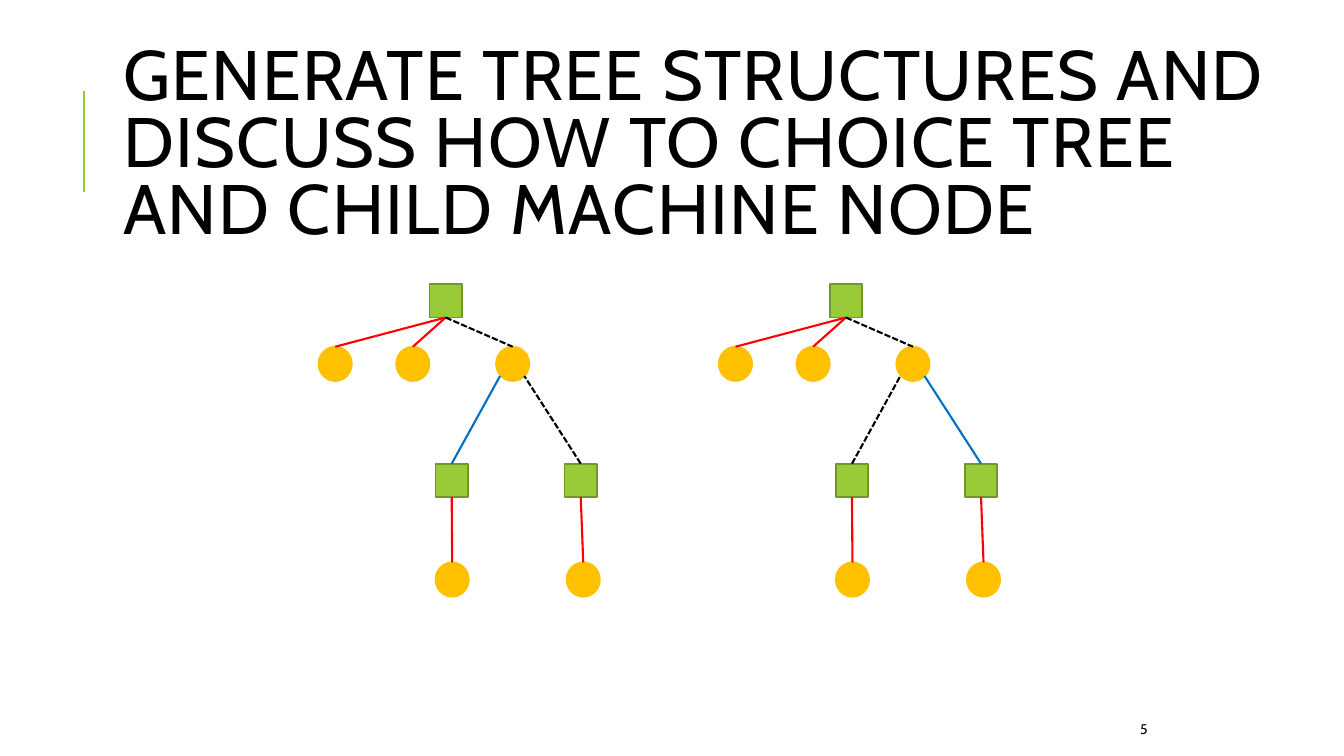
from pptx import Presentation
from pptx.dml.color import RGBColor
from pptx.enum.dml import MSO_LINE
from pptx.enum.shapes import MSO_CONNECTOR, MSO_SHAPE
from pptx.enum.text import MSO_ANCHOR, MSO_AUTO_SIZE, PP_ALIGN
from pptx.oxml.ns import qn
from pptx.util import Pt
from lxml.etree import SubElement

PX = 9144  # 100 px to the inch
FONT = "Cabin"
COLORS = {"green": "99CB38", "edge": "719629", "amber": "FFC000",
          "red": "FF0000", "blue": "0070C0", "black": "000000"}
TOP, BOTTOM = 0, 2
TREE_STEP = 397


def px(*lengths):
    return [n * PX for n in lengths]


def rgb(name):
    return RGBColor.from_string(COLORS[name])


def add_text(shape, text, size):
    tf = shape.text_frame
    tf.word_wrap = True
    tf.auto_size = MSO_AUTO_SIZE.NONE
    tf.vertical_anchor = MSO_ANCHOR.MIDDLE
    p = tf.paragraphs[0]
    p.alignment = PP_ALIGN.LEFT
    r = p.add_run()
    r.text = text
    r.font.name = FONT
    r.font.size = Pt(size)
    r.font.color.rgb = rgb("black")
    return p, r


def add_title(s, text):
    title = s.shapes.title
    title.left, title.top, title.width, title.height = px(112, 64, 1180, 164)
    p, r = add_text(title, text, 50)
    p.line_spacing = 0.8
    r.font._element.set("spc", "100")


def add_page_number(s, number):
    add_text(s.shapes.add_textbox(*px(1121, 708, 106, 30)), number, 10)


def add_node(s, kind, x, y, w, h, fill, edge):
    node = s.shapes.add_shape(kind, *px(x, y, w, h))
    node.shadow.inherit = False
    node.fill.solid()
    node.fill.fore_color.rgb = rgb(fill)
    node.line.color.rgb = rgb(edge)
    node.line.width = Pt(1.25)
    return node


def add_square(s, x, y):
    return add_node(s, MSO_SHAPE.RECTANGLE, x, y, 32, 33, "green", "edge")


def add_circle(s, x, y):
    return add_node(s, MSO_SHAPE.OVAL, x, y, 33, 34, "amber", "amber")


def add_line(s, color, x1=0, y1=0, x2=0, y2=0):
    line = s.shapes.add_connector(MSO_CONNECTOR.STRAIGHT, *px(x1, y1, x2, y2))
    line.line.color.rgb = rgb(color)
    line.line.width = Pt(1.5)
    if color == "black":
        line.line.dash_style = MSO_LINE.SQUARE_DOT
    SubElement(line._element.spPr, qn("a:effectLst"))
    return line


def join_down(s, parent, child, color):
    line = add_line(s, color)
    line.begin_connect(parent, BOTTOM)
    line.end_connect(child, TOP)


def add_tree(s, dx, left_color, right_color):
    root = add_square(s, 426 + dx, 282)
    for x, color in ((316, "red"), (393, "red"), (492, "black")):
        join_down(s, root, add_circle(s, x + dx, 344), color)

    # Each branch starts on the lower side of the last circle.
    for x, leaf_x, start_x, color in ((432, 432, 496, left_color),
                                      (560, 562, 520, right_color)):
        square = add_square(s, x + dx, 460)
        branch = add_line(s, color, x2=start_x + dx, y2=373)
        branch.begin_connect(square, TOP)
        join_down(s, square, add_circle(s, leaf_x + dx, 558), "red")


def main():
    prs = Presentation()
    prs.slide_width, prs.slide_height = px(1333, 750)
    s = prs.slides.add_slide(prs.slide_layouts[5])
    add_line(s, "green", 83, 190, 83, 90)
    add_page_number(s, "5")
    add_title(s, "GENERATE TREE STRUCTURES AND DISCUSS HOW TO CHOICE "
                 "TREE AND CHILD MACHINE NODE")
    add_tree(s, 0, "blue", "black")
    add_tree(s, TREE_STEP, "black", "blue")
    prs.save("out.pptx")


if __name__ == "__main__":
    main()
